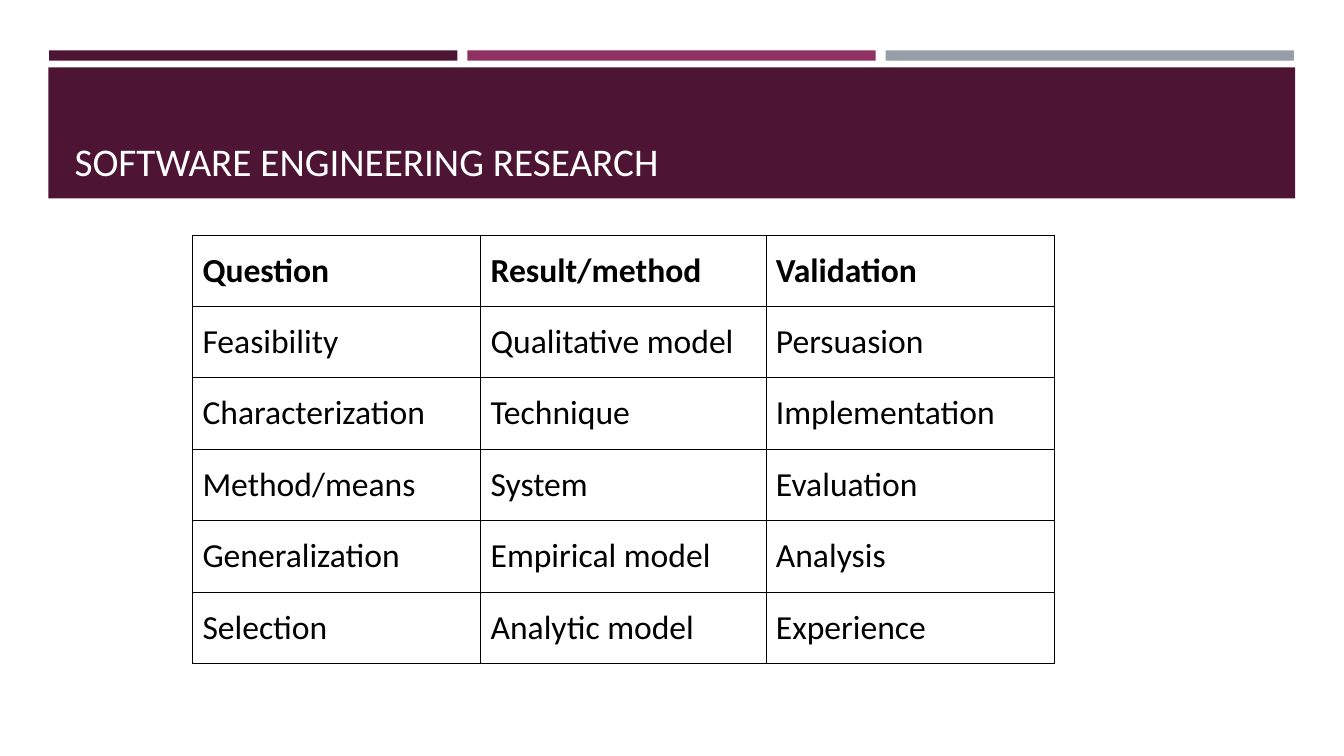
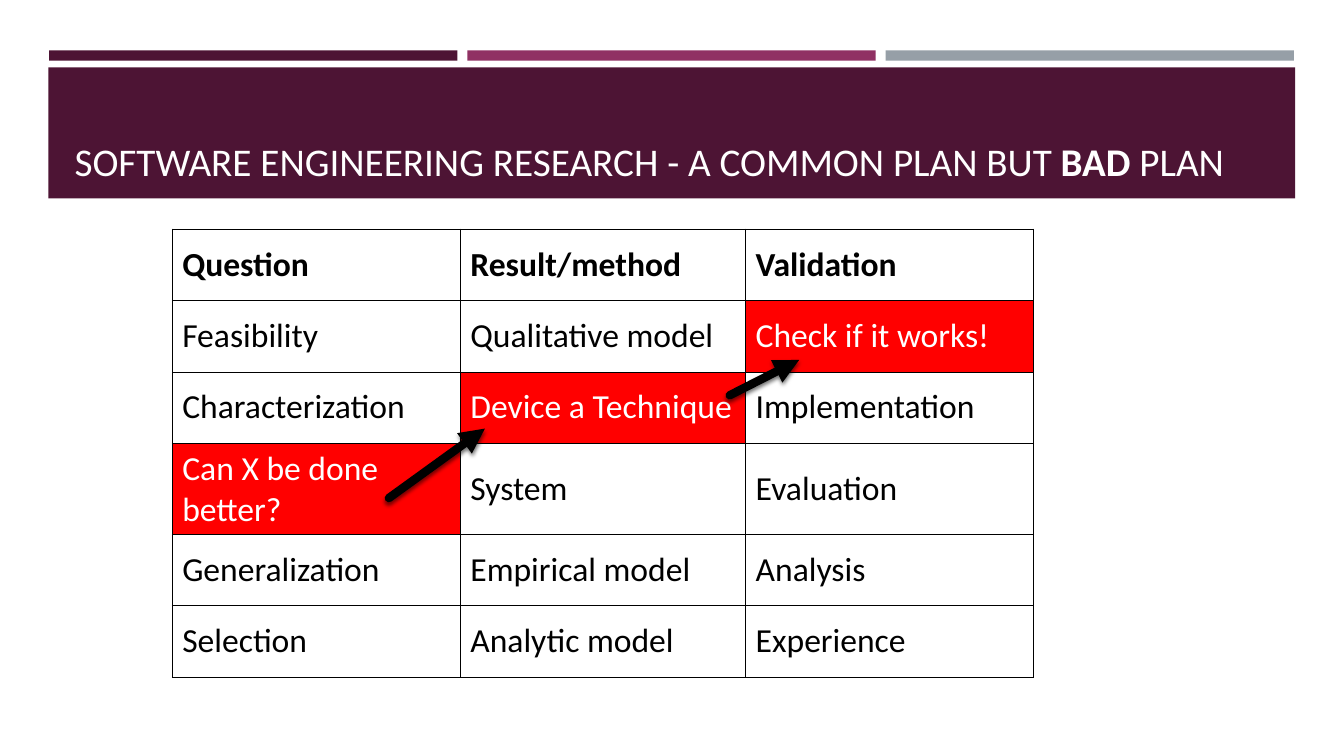
"""Build two slides on the kinds of software engineering research."""
from lxml import etree
from pptx import Presentation
from pptx import oxml
from pptx import util as u
from pptx.dml.color import RGBColor
from pptx.enum import shapes, text
from pptx.oxml import ns

PLUM = RGBColor(0x4D, 0x14, 0x34)
MAGENTA = RGBColor(0x90, 0x31, 0x63)
GREY = RGBColor(0x96, 0x9F, 0xA7)
RED = RGBColor(0xFF, 0, 0)
BLACK = RGBColor(0, 0, 0)
WHITE = RGBColor(0xFF, 0xFF, 0xFF)

FONT = "Calibri"
STRIPE_WIDTH, STRIPE_STEP = 10.29, 10.54
COLUMN_WIDTHS = (7.26, 7.19, 7.26)
ROW_HEIGHT = 1.8
TITLE = "SOFTWARE ENGINEERING RESEARCH"
RESEARCH = (
    ("Question", "Result/method", "Validation"),
    ("Feasibility", "Qualitative model", "Persuasion"),
    ("Characterization", "Technique", "Implementation"),
    ("Method/means", "System", "Evaluation"),
    ("Generalization", "Empirical model", "Analysis"),
    ("Selection", "Analytic model", "Experience"),
)
BAD_PLAN = {
    (3, 0): "Can X be done better?",
    (2, 1): "Device a Technique",
    (1, 2): "Check if it works!",
}
BORDER = (
    '<a:{side} %s w="6350"><a:solidFill><a:srgbClr val="{color}"/></a:solidFill></a:{side}>'
    % ns.nsdecls("a")
)
ARROW_SHADOW = (
    '<a:effectLst %s><a:outerShdw blurRad="38100" dist="25400" dir="5400000" '
    'rotWithShape="0"><a:srgbClr val="000000"><a:alpha val="55000"/></a:srgbClr>'
    "</a:outerShdw></a:effectLst>" % ns.nsdecls("a")
)


def add_span(para, words, size=24, color=BLACK, bold=False):
    """Append formatted words to a paragraph."""
    span = para.add_run()
    span.text = words
    span.font.name = FONT
    span.font.size = u.Pt(size)
    span.font.bold = bold
    span.font.color.rgb = color


def add_band(page, left, top, width, height, color):
    """Draw a plain coloured rectangle."""
    band = page.shapes.add_shape(
        shapes.MSO_SHAPE.RECTANGLE, u.Cm(left), u.Cm(top), u.Cm(width), u.Cm(height)
    )
    band.shadow.inherit = False
    band.fill.solid()
    band.fill.fore_color.rgb = color
    band.line.fill.background()


def add_title(page, spans):
    """Write the title from pairs of words and boldness."""
    box = page.shapes.add_textbox(u.Cm(1.63), u.Cm(1.96), u.Cm(30.63), u.Cm(2.82))
    frame = box.text_frame
    frame.word_wrap = True
    frame.vertical_anchor = text.MSO_ANCHOR.BOTTOM
    for words, bold in spans:
        add_span(frame.paragraphs[0], words, size=28, color=WHITE, bold=bold)


def add_page(deck, spans):
    """Add a blank slide with the shared bands and a title."""
    page = deck.slides.add_slide(deck.slide_layouts[6])
    for place, color in enumerate((PLUM, MAGENTA, GREY)):
        add_band(page, 1.24 + place * STRIPE_STEP, 1.27, STRIPE_WIDTH, 0.26, color)
    add_band(page, 1.22, 1.7, 31.42, 3.3, PLUM)
    add_title(page, spans)
    return page


def fill_cell(cell, words, bold, marked):
    """Write and frame one table cell, in red when marked."""
    cell.vertical_anchor = text.MSO_ANCHOR.MIDDLE
    if marked:
        cell.fill.solid()
        cell.fill.fore_color.rgb = RED
    else:
        cell.fill.background()
    para = cell.text_frame.paragraphs[0]
    para.space_before = para.space_after = u.Pt(6)
    add_span(para, words, color=WHITE if marked else BLACK, bold=bold)
    properties = cell._tc.get_or_add_tcPr()
    for place, side in enumerate(("lnL", "lnR", "lnT", "lnB")):
        properties.insert(place, oxml.parse_xml(BORDER.format(side=side, color=BLACK)))


def add_research_table(page, left, top, replaced):
    """Add the research table, with replaced cells marked."""
    rows, columns = len(RESEARCH), len(COLUMN_WIDTHS)
    table = page.shapes.add_table(
        rows, columns, u.Cm(left), u.Cm(top),
        u.Cm(sum(COLUMN_WIDTHS)), u.Cm(rows * ROW_HEIGHT),
    ).table
    table.first_row = table.horz_banding = False
    for column, width in zip(table.columns, COLUMN_WIDTHS):
        column.width = u.Cm(width)
    for row, entries in enumerate(RESEARCH):
        table.rows[row].height = u.Cm(ROW_HEIGHT)
        for column, entry in enumerate(entries):
            key = row, column
            fill_cell(table.cell(row, column), replaced.get(key, entry),
                      bold=row == 0, marked=key in replaced)


def add_arrow(page, start, end):
    """Draw a thick black arrow with a soft shadow."""
    arrow = page.shapes.add_connector(
        shapes.MSO_CONNECTOR.STRAIGHT, *(u.Cm(length) for length in start + end)
    )
    arrow.line.color.rgb = BLACK
    arrow.line.width = u.Pt(6)
    line = arrow.line._get_or_add_ln()
    line.set("cap", "rnd")
    etree.SubElement(line, ns.qn("a:tailEnd"), type="triangle")
    arrow._element.spPr.append(oxml.parse_xml(ARROW_SHADOW))


def main():
    """Build and save the deck."""
    deck = Presentation()
    deck.slide_width, deck.slide_height = u.Cm(33.87), u.Cm(19.05)

    page = add_page(deck, [(TITLE, False)])
    add_research_table(page, 4.85, 5.92, {})

    page = add_page(deck, [
        (TITLE + " - A COMMON PLAN BUT ", False), ("BAD", True), (" PLAN", False),
    ])
    add_research_table(page, 4.34, 5.77, BAD_PLAN)
    add_arrow(page, (9.8, 12.55), (12.22, 10.8))
    add_arrow(page, (18.39, 9.96), (20.14, 9.07))

    deck.save("out.pptx")


main()
